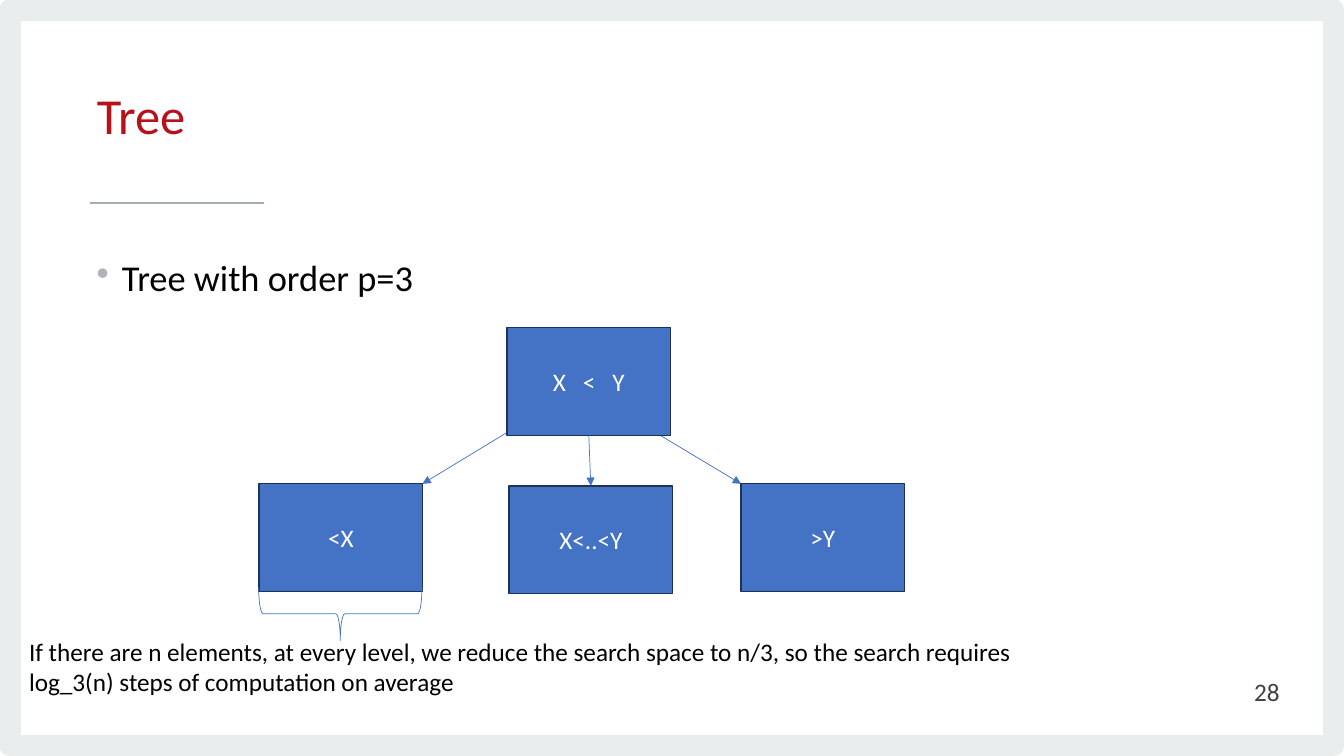
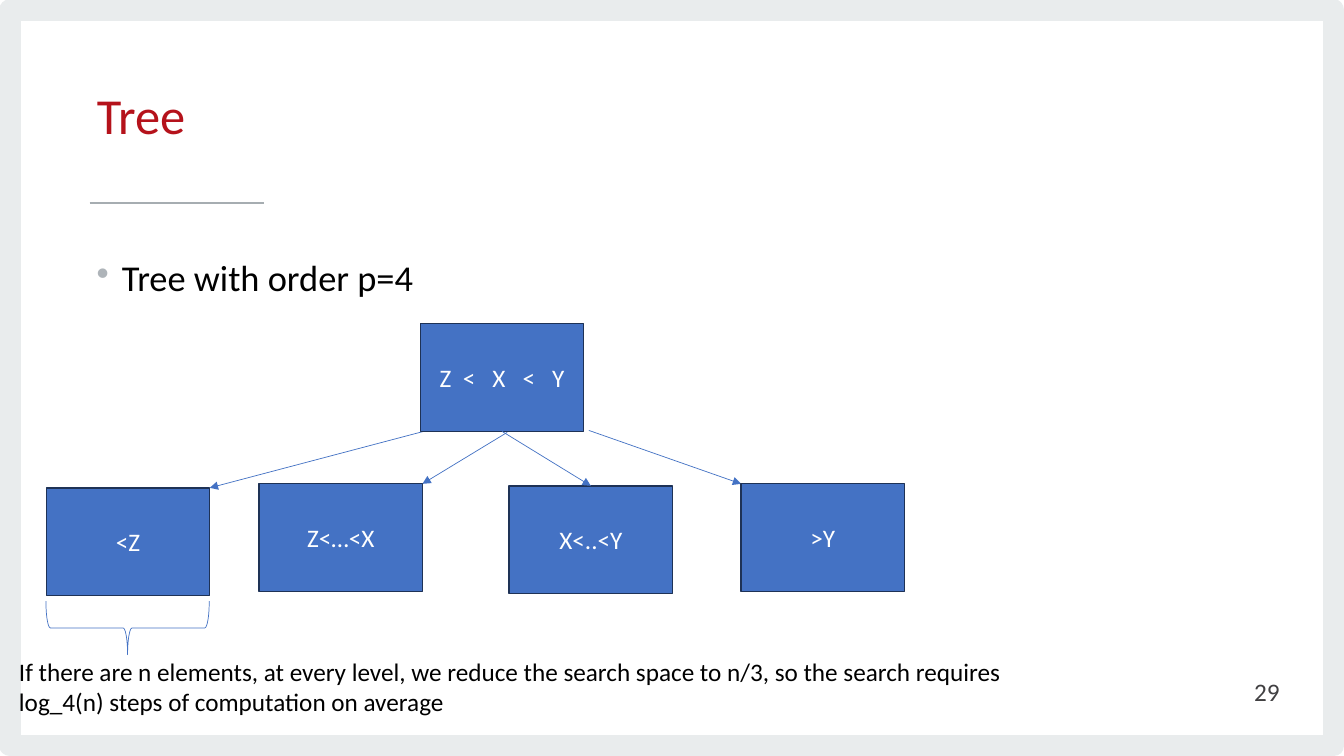
import lxml.etree
import pptx
import pptx.dml.color
import pptx.enum.shapes
import pptx.enum.text
import pptx.oxml.ns
import pptx.util

SCALE = 9144
FONT = "Calibri"
RED, BLACK, WHITE, GREY = "B5121B", "000000", "FFFFFF", "414042"
BLUE, NAVY = "4472C4", "1E3256"
FRAME, RULE, BULLET = "E9ECED", "A6ADB1", "AEB4B9"
NODE_WIDTH, NODE_HEIGHT, BRACE_DEPTH = 162, 107, 53

SHAPE = pptx.enum.shapes.MSO_SHAPE
ALIGN = pptx.enum.text.PP_ALIGN
ANCHOR = pptx.enum.text.MSO_ANCHOR

TREES = [
    {
        "number": "28",
        "heading": "Tree with order p=3",
        "root": ("X   <   Y", 503, 325),
        "children": [("<X", 257, 480), ("X<..<Y", 505, 482), (">Y", 735, 480)],
        "starts": [(503, 429), None, (650, 429)],
        "brace_top": 582,
        "caption": (19, 626, 1044, 71),
        "steps": "log_3(n)",
    },
    {
        "number": "29",
        "heading": "Tree with order p=4",
        "root": ("Z  <   X   <   Y", 417, 321),
        "children": [("<Z", 46, 484), ("Z<…<X", 257, 480),
                     ("X<..<Y", 505, 482), (">Y", 735, 480)],
        "starts": [(424, 427), (503, 429), None, (584, 427)],
        "brace_top": 596,
        "caption": (9, 646, 1050, 71),
        "steps": "log_4(n)",
    },
]


def px(*lengths):
    """Turn pixel lengths into a list of EMU."""
    return [pptx.util.Emu(length * SCALE) for length in lengths]


def color(value):
    """Return the RGB colour of a hex string."""
    return pptx.dml.color.RGBColor.from_string(value)


def add_xml(parent, tag, **attributes):
    """Append a DrawingML element to a parent and return it."""
    return lxml.etree.SubElement(parent, pptx.oxml.ns.qn(tag), attributes)


def set_line(shape, value, width):
    """Set the outline colour and width in points."""
    shape.line.color.rgb = color(value)
    shape.line.width = pptx.util.Pt(width)


def write(shape, text, size, value, align=ALIGN.LEFT, anchor=ANCHOR.TOP):
    """Write one formatted paragraph into a shape and return it."""
    frame = shape.text_frame
    frame.word_wrap = True
    frame.vertical_anchor = anchor
    para = frame.paragraphs[0]
    para.text = text
    para.alignment = align
    para.font.name = FONT
    para.font.size = pptx.util.Pt(size)
    para.font.color.rgb = color(value)
    return para


def add_shape(page, kind, box, line, width, fill=None):
    """Add a preset shape without shadow."""
    shape = page.shapes.add_shape(kind, *px(*box))
    shape.shadow.inherit = False
    set_line(shape, line, width)
    if fill:
        shape.fill.solid()
        shape.fill.fore_color.rgb = color(fill)
    else:
        shape.fill.background()
    return shape


def add_line(page, start, end, value, width):
    """Add a straight connector without shadow."""
    line = page.shapes.add_connector(
        pptx.enum.shapes.MSO_CONNECTOR.STRAIGHT, *px(*start, *end))
    set_line(line, value, width)
    add_xml(line._element.spPr, "a:effectLst")
    return line


def add_arrow(page, start, end):
    """Add a thin connector with an arrowhead at its end."""
    arrow = add_line(page, start, end, BLUE, 0.5)
    add_xml(arrow.line._get_or_add_ln(), "a:tailEnd", type="triangle")
    return arrow


def add_node(page, text, left, top):
    """Add one labelled tree node."""
    box = (left, top, NODE_WIDTH, NODE_HEIGHT)
    node = add_shape(page, SHAPE.RECTANGLE, box, NAVY, 1, BLUE)
    write(node, text, 18, WHITE, ALIGN.CENTER, ANCHOR.MIDDLE)
    return node


def add_brace(page, left, top):
    """Add a downward brace as wide as a node."""
    shift = (NODE_WIDTH - BRACE_DEPTH) // 2
    box = (left + shift, top - shift, BRACE_DEPTH, NODE_WIDTH)
    brace = add_shape(page, SHAPE.RIGHT_BRACE, box, BLUE, 0.5)
    brace.rotation = 90


def draw_tree(page, tree):
    """Draw the root, its children, their arrows and the brace."""
    root_left = tree["root"][1]
    for (_, left, top), start in zip(tree["children"], tree["starts"]):
        if start:
            corner = left + NODE_WIDTH if left < root_left else left
            add_arrow(page, start, (corner, top))
    root = add_node(page, *tree["root"])
    for child, start in zip(tree["children"], tree["starts"]):
        node = add_node(page, *child)
        if not start:
            arrow = add_arrow(page, (0, 0), (0, 0))
            arrow.begin_connect(root, 2)
            arrow.end_connect(node, 0)
    add_brace(page, tree["children"][0][1], tree["brace_top"])


def draw_base(page, title, number):
    """Draw the frame, title, rule and page number."""
    add_shape(page, SHAPE.RECTANGLE, (10, 10, 1313, 730), FRAME, 15.1)
    add_line(page, (89, 201), (262, 201), RULE, 1.33)
    holder = page.shapes.title
    holder.left, holder.top, holder.width, holder.height = px(86, 52, 902, 134)
    para = write(holder, title, 36, RED, anchor=ANCHOR.MIDDLE)
    para.line_spacing = pptx.util.Pt(34.7)
    para.space_before = pptx.util.Pt(7.5)
    box = page.shapes.add_textbox(*px(979, 666, 300, 40))
    write(box, number, 18, GREY, ALIGN.RIGHT, ANCHOR.MIDDLE)


def draw_heading(page, text):
    """Write the bulleted heading of the body."""
    box = page.shapes.add_textbox(*px(86, 253, 1073, 422))
    para = write(box, text, 26, BLACK)
    para.line_spacing = 0.9
    para.space_before = pptx.util.Pt(10)
    properties = para._p.get_or_add_pPr()
    indent = 25 * SCALE
    properties.set("marL", str(indent))
    properties.set("indent", str(-indent))
    bullet = lxml.etree.Element(pptx.oxml.ns.qn("a:buClr"))
    add_xml(bullet, "a:srgbClr", val=BULLET)
    mark = lxml.etree.Element(pptx.oxml.ns.qn("a:buChar"), char="•")
    defaults = properties.find(pptx.oxml.ns.qn("a:defRPr"))
    defaults.addprevious(bullet)
    defaults.addprevious(mark)


def draw_caption(page, box, steps):
    """Write the note on search cost below the tree."""
    caption = page.shapes.add_textbox(*px(*box))
    write(caption, "If there are n elements, at every level, we reduce the search "
          f"space to n/3, so the search requires {steps} steps of computation "
          "on average", 18, BLACK)
    caption.text_frame.auto_size = pptx.enum.text.MSO_AUTO_SIZE.SHAPE_TO_FIT_TEXT


def add_tree_page(deck, tree):
    """Add one complete tree slide."""
    page = deck.slides.add_slide(deck.slide_layouts[5])
    draw_base(page, "Tree", tree["number"])
    draw_heading(page, tree["heading"])
    draw_tree(page, tree)
    draw_caption(page, tree["caption"], tree["steps"])


def main():
    """Build and save the deck."""
    deck = pptx.Presentation()
    deck.slide_width, deck.slide_height = px(1333, 750)
    for tree in TREES:
        add_tree_page(deck, tree)
    deck.save("out.pptx")


if __name__ == "__main__":
    main()
